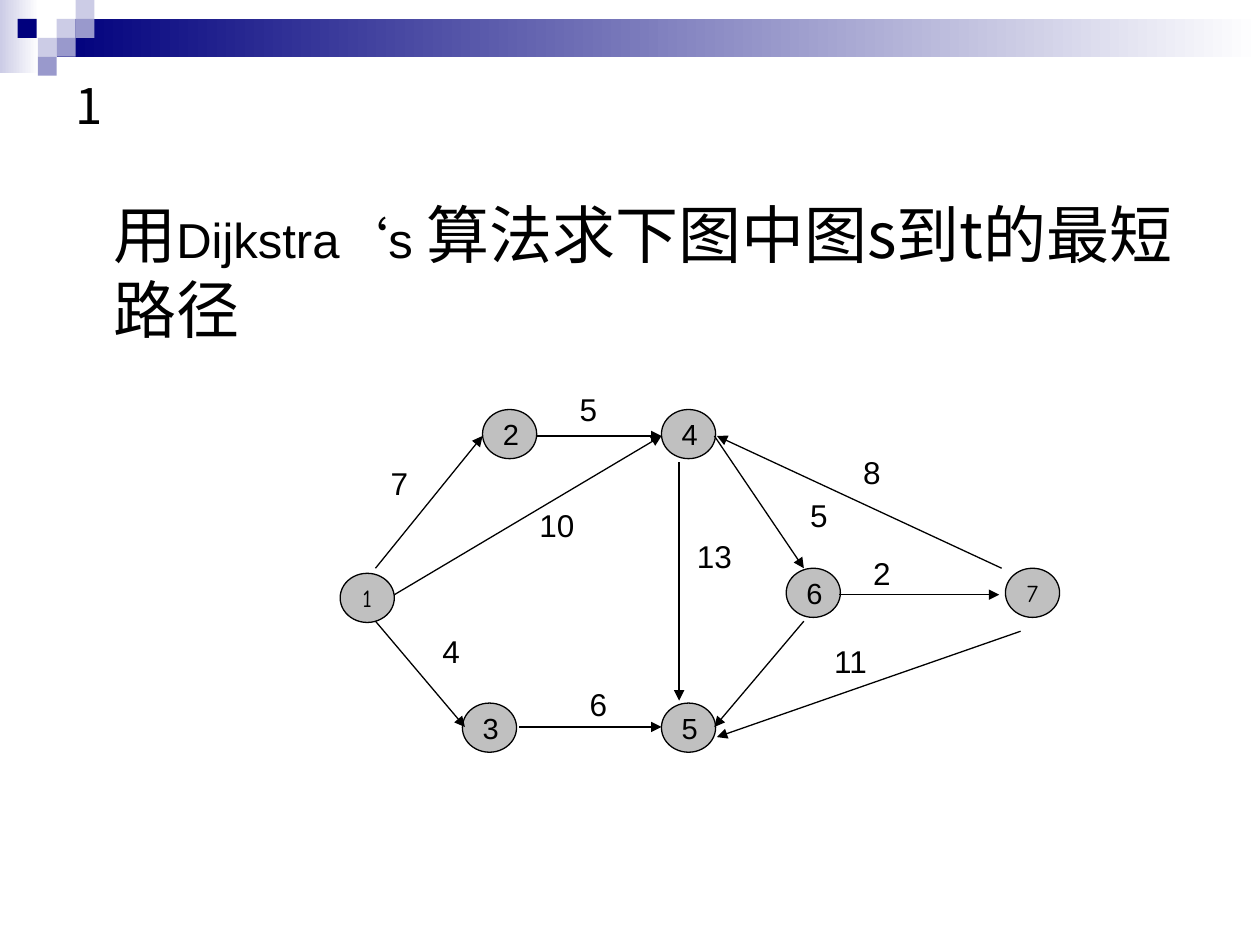
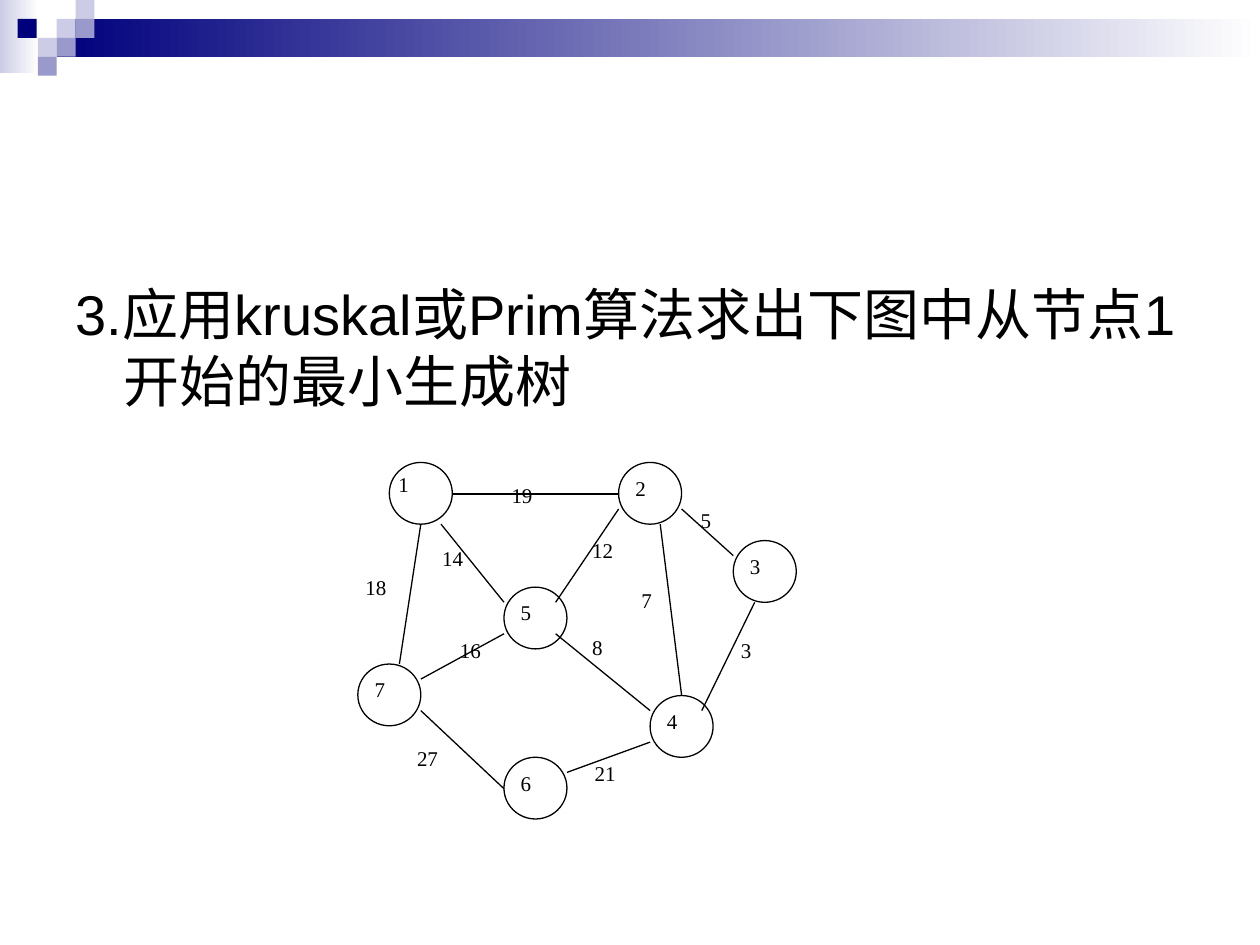
from dataclasses import dataclass
from typing import NamedTuple, Optional

from lxml.etree import SubElement
from pptx import Presentation
from pptx.dml.color import RGBColor
from pptx.enum.shapes import MSO_CONNECTOR, MSO_SHAPE
from pptx.enum.text import MSO_ANCHOR, MSO_AUTO_SIZE, PP_ALIGN
from pptx.oxml.ns import qn
from pptx.util import Inches, Pt

BLACK, WHITE, GREY = "000000", "FFFFFF", "C0C0C0"
NAVY, LILAC, VIOLET = "00007D", "CCCCE6", "9999CC"
ARIAL, COMIC, TIMES = "Arial", "Comic Neue", "Times New Roman"
CJK = "Noto Sans CJK SC"
TILE = 0.15


class Span(NamedTuple):
    text: str
    size: float
    font: str


class Band(NamedTuple):
    x: float
    y: float
    width: float
    height: float
    start: str
    end: Optional[str] = None


class Node(NamedTuple):
    label: str
    x: float
    y: float
    font: Optional[str] = None
    size: Optional[float] = None
    inset: Optional[tuple[float, float]] = None


class Edge(NamedTuple):
    x1: float
    y1: float
    x2: float
    y2: float


class Weight(NamedTuple):
    text: str
    x: float
    y: float
    height: Optional[float] = None


@dataclass(frozen=True)
class GraphStyle:
    """Shared look of the nodes, edges and weights of one graph."""
    shape: MSO_SHAPE
    fill: str
    node_size: tuple[float, float]
    font: str
    node_points: float
    weight_points: float
    weight_size: tuple[float, float]
    inset: tuple[float, float]
    anchor: MSO_ANCHOR
    align: PP_ALIGN
    arrows: bool
    wrap_weights: bool


BANDS = [
    Band(0, 0, 0.31, 0.58, LILAC, WHITE),
    Band(0.45, TILE, 9.55, 2 * TILE, NAVY, WHITE),
    Band(0.14, TILE, TILE, TILE, NAVY),
] + [Band(column * TILE, row * TILE, TILE, TILE, colour)
     for column, row, colour in [(3, 1, LILAC), (4, 0, LILAC), (4, 1, VIOLET),
                                 (2, 2, LILAC), (3, 2, VIOLET), (2, 3, VIOLET)]]

# Directed graph for the shortest path
PATH_STYLE = GraphStyle(MSO_SHAPE.OVAL, GREY, (0.43, 0.39), ARIAL, 16.6, 18, (0.5, 0.33),
                        (0.1, 0.05), MSO_ANCHOR.MIDDLE, PP_ALIGN.CENTER, True, False)
PATH_NODES = [
    Node("1", 2.7, 4.55, COMIC, 14), Node("2", 3.83, 3.25), Node("3", 3.67, 5.58),
    Node("4", 5.25, 3.25), Node("5", 5.25, 5.58), Node("6", 6.24, 4.51),
    Node("7", 7.98, 4.51, COMIC, 14),
]
PATH_EDGES = [
    Edge(2.98, 4.51, 3.83, 3.46), Edge(3.13, 4.72, 5.25, 3.46), Edge(2.98, 4.93, 3.69, 5.77),
    Edge(4.12, 5.77, 5.25, 5.77), Edge(6.38, 4.93, 5.67, 5.77), Edge(5.67, 3.46, 6.38, 4.51),
    Edge(4.26, 3.46, 5.25, 3.46), Edge(5.39, 3.67, 5.39, 5.56), Edge(6.66, 4.72, 7.93, 4.72),
    Edge(7.95, 4.51, 5.69, 3.46), Edge(8.1, 5.01, 5.69, 5.85),
]
PATH_WEIGHTS = [
    Weight("5", 4.42, 3.08), Weight("7", 2.92, 3.67), Weight("4", 3.33, 5),
    Weight("10", 4.17, 4), Weight("6", 4.5, 5.42), Weight("13", 5.42, 4.25),
    Weight("5", 6.25, 3.92), Weight("8", 6.67, 3.58), Weight("2", 6.75, 4.42, 0.25),
    Weight("11", 6.5, 5.08),
]

# Undirected graph for the spanning tree
TREE_STYLE = GraphStyle(MSO_SHAPE.FLOWCHART_CONNECTOR, WHITE, (0.5, 0.49), TIMES, 12, 12,
                        (0.41, 0.37), (0.06, 0.03), MSO_ANCHOR.TOP, PP_ALIGN.JUSTIFY,
                        False, True)
TREE_NODES = [
    Node("1", 3.09, 3.67, inset=(0, 0)), Node("2", 4.91, 3.67), Node("3", 5.82, 4.29),
    Node("4", 5.16, 5.52), Node("5", 4, 4.66), Node("6", 4, 6.01), Node("7", 2.84, 5.27),
]
TREE_EDGES = [
    Edge(3.59, 3.92, 4.91, 3.92), Edge(5.41, 4.04, 5.82, 4.41), Edge(5.99, 4.78, 5.57, 5.64),
    Edge(5.24, 4.16, 5.41, 5.52), Edge(4.91, 4.04, 4.41, 4.78), Edge(4.41, 5.03, 5.16, 5.64),
    Edge(4.5, 6.13, 5.16, 5.89), Edge(3.34, 5.39, 4, 5.03), Edge(3.5, 4.16, 4, 4.78),
    Edge(3.34, 5.64, 4, 6.26), Edge(3.34, 4.16, 3.17, 5.27),
]
TREE_WEIGHTS = [
    Weight("19", 4, 3.8), Weight("5", 5.5, 4), Weight("3", 5.82, 5.03),
    Weight("7", 5.03, 4.63), Weight("12", 4.64, 4.24), Weight("8", 4.64, 5.01),
    Weight("21", 4.66, 6.01), Weight("14", 3.45, 4.3), Weight("18", 2.84, 4.53),
    Weight("27", 3.25, 5.89), Weight("16", 3.59, 5.03),
]


def rgb(colour: str) -> RGBColor:
    return RGBColor.from_string(colour)


def inches(*values: float) -> list:
    return [Inches(value) for value in values]


def add_span(para, span: Span) -> None:
    run = para.add_run()
    run.text = span.text
    run.font.size = Pt(span.size)
    run.font.name = span.font
    run.font.color.rgb = rgb(BLACK)
    properties = run.font._element
    properties.set("lang", "zh-CN")
    SubElement(properties, qn("a:ea")).set("typeface", CJK)


def set_frame(frame, inset: tuple[float, float], anchor: MSO_ANCHOR, wrap: bool) -> None:
    frame.margin_left = frame.margin_right = Inches(inset[0])
    frame.margin_top = frame.margin_bottom = Inches(inset[1])
    frame.vertical_anchor = anchor
    frame.word_wrap = wrap
    frame.auto_size = MSO_AUTO_SIZE.NONE


def place(placeholder, x: float, y: float, width: float, height: float) -> None:
    placeholder.left, placeholder.top, placeholder.width, placeholder.height = inches(
        x, y, width, height)


def add_bands(deck, page) -> None:
    """Draw the header bands and move them to the back of the slide master."""
    tree = deck.slide_master.shapes.element
    for order, band in enumerate(BANDS):
        box = page.shapes.add_shape(MSO_SHAPE.RECTANGLE,
                                    *inches(band.x, band.y, band.width, band.height))
        box.shadow.inherit = False
        box.line.fill.background()
        if band.end:
            box.fill.gradient()
            box.fill.gradient_angle = 0
            for stop, colour in zip(box.fill.gradient_stops, (band.start, band.end)):
                stop.color.rgb = rgb(colour)
        else:
            box.fill.solid()
            box.fill.fore_color.rgb = rgb(band.start)
        box.element.nvSpPr.cNvPr.set("id", str(100 + order))
        tree.insert(2 + order, box.element)


def fill_title(page, text: str) -> None:
    title = page.shapes.title
    place(title, 0.5, 0.5, 9, 0.67)
    set_frame(title.text_frame, (0.1, 0.05), MSO_ANCHOR.MIDDLE, True)
    para = title.text_frame.paragraphs[0]
    para.alignment = PP_ALIGN.LEFT
    add_span(para, Span(text, 28, CJK))


def fill_body(page, x: float, y: float, indent: float, spans: list[Span]) -> None:
    body = page.placeholders[1]
    place(body, x, y, 9, 4.25)
    set_frame(body.text_frame, (0.1, 0.05), MSO_ANCHOR.TOP, True)
    para = body.text_frame.paragraphs[0]
    properties = para._p.get_or_add_pPr()
    properties.set("marL", str(Inches(0.38)))
    properties.set("indent", str(Inches(indent)))
    SubElement(properties, qn("a:buNone"))
    para.space_before = Pt(0)
    for span in spans:
        add_span(para, span)


def add_node(page, node: Node, style: GraphStyle) -> None:
    oval = page.shapes.add_shape(style.shape, *inches(node.x, node.y, *style.node_size))
    oval.shadow.inherit = False
    oval.fill.solid()
    oval.fill.fore_color.rgb = rgb(style.fill)
    oval.line.color.rgb = rgb(BLACK)
    oval.line.width = Pt(0.75)
    set_frame(oval.text_frame, node.inset or style.inset, style.anchor, True)
    para = oval.text_frame.paragraphs[0]
    para.alignment = style.align
    add_span(para, Span(node.label, node.size or style.node_points, node.font or style.font))


def add_edge(page, edge: Edge, style: GraphStyle) -> None:
    line = page.shapes.add_connector(MSO_CONNECTOR.STRAIGHT, *inches(*edge))
    line.line.color.rgb = rgb(BLACK)
    line.line.width = Pt(0.75)
    if style.arrows:
        SubElement(line.line._get_or_add_ln(), qn("a:tailEnd")).set("type", "triangle")
    SubElement(line.element.spPr, qn("a:effectLst"))


def add_weight(page, weight: Weight, style: GraphStyle) -> None:
    width, height = style.weight_size
    box = page.shapes.add_textbox(*inches(weight.x, weight.y, width, weight.height or height))
    set_frame(box.text_frame, style.inset, style.anchor, style.wrap_weights)
    para = box.text_frame.paragraphs[0]
    para.alignment = style.align
    add_span(para, Span(weight.text, style.weight_points, style.font))


def add_graph(page, style: GraphStyle, nodes: list[Node], edges: list[Edge],
              weights: list[Weight]) -> None:
    for node in nodes:
        add_node(page, node, style)
    for edge in edges:
        add_edge(page, edge, style)
    for weight in weights:
        add_weight(page, weight, style)


def main() -> None:
    deck = Presentation()
    deck.slide_width, deck.slide_height = inches(10, 7.5)
    layout = deck.slide_layouts[1]

    # Shortest path
    page = deck.slides.add_slide(layout)
    add_bands(deck, page)
    fill_title(page, "1")
    fill_body(page, 0.42, 1.5, 0, [
        Span("用", 36, CJK), Span("Dijkstra", 28, ARIAL), Span("‘", 28, COMIC),
        Span("s ", 28, ARIAL), Span("算法", 36, ARIAL),
        Span("求下图中图s到t的最短路径", 36, CJK)])
    add_graph(page, PATH_STYLE, PATH_NODES, PATH_EDGES, PATH_WEIGHTS)

    # Minimum spanning tree
    page = deck.slides.add_slide(layout)
    title = page.shapes.title.element
    title.getparent().remove(title)
    fill_body(page, 0.5, 2.17, -0.38, [
        Span("3.应用kruskal或Prim算法求出下图中从节点1开始的最小生成树", 32, ARIAL)])
    add_graph(page, TREE_STYLE, TREE_NODES, TREE_EDGES, TREE_WEIGHTS)

    deck.save("out.pptx")


if __name__ == "__main__":
    main()
